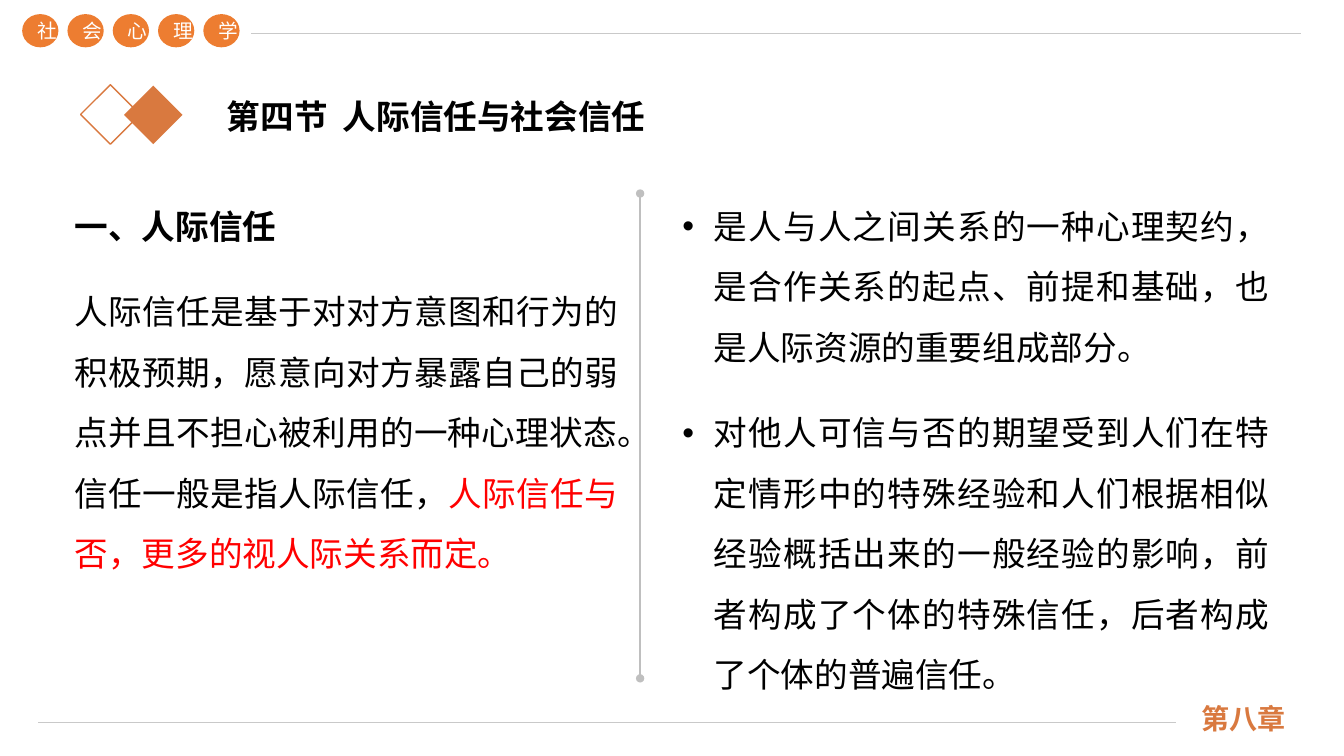
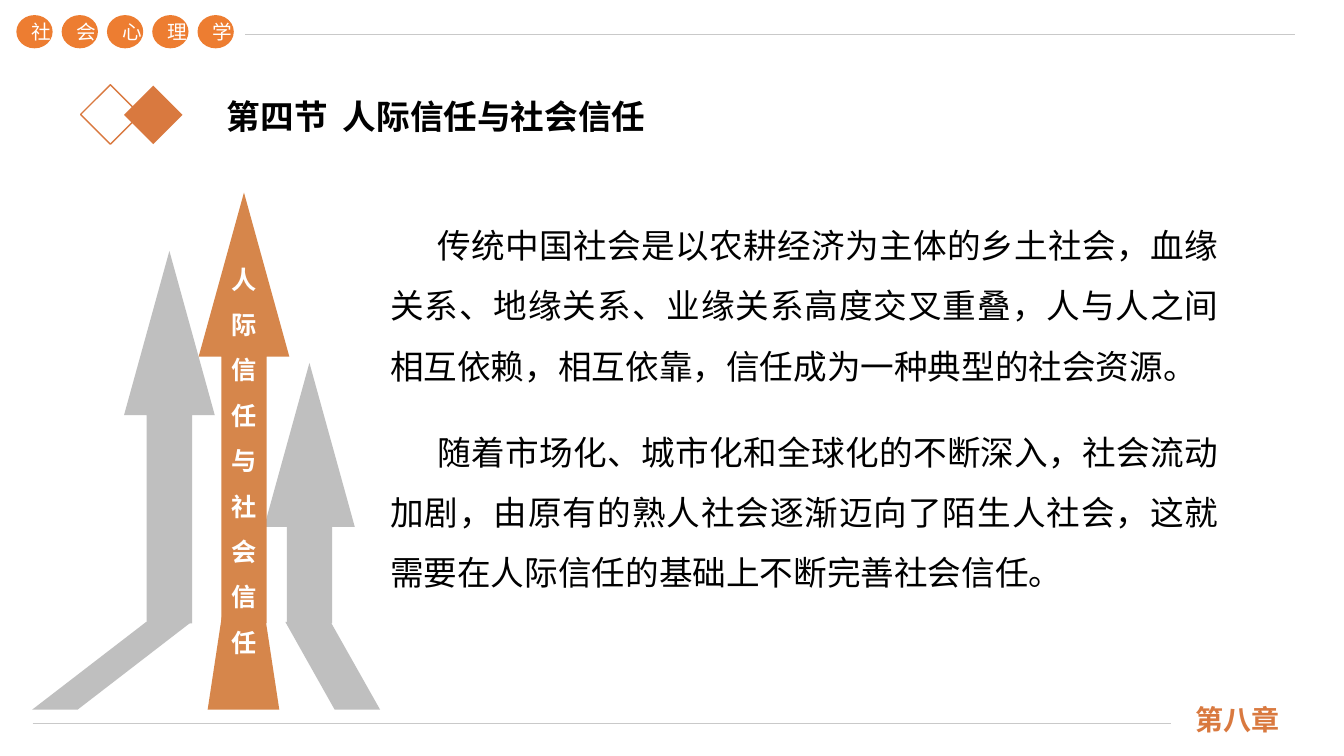
from dataclasses import dataclass

from lxml import etree
from pptx import Presentation
from pptx import util as u
from pptx.dml.color import RGBColor
from pptx.enum import shapes, text
from pptx.oxml import ns

# The grid has 100 columns and 100 rows.
WIDTH, HEIGHT = u.Inches(13.33), u.Inches(7.5)


@dataclass(frozen=True)
class Theme:
    ink: str = "000000"
    white: str = "FFFFFF"
    stress: str = "FF0000"
    accent: str = "D9793F"
    badge: str = "ED7D31"
    arrow: str = "D6864B"
    grey: str = "BFBFBF"
    rule: str = "C9C9C9"
    font: str = "Noto Sans CJK SC"
    chapter_font: str = "Noto Sans CJK JP"
    main_size: int = 24
    chapter_size: int = 20
    label_size: int = 18
    badge_size: int = 14


THEME = Theme()
COURSE = "社会心理学"
CHAPTER = "第八章"
SECTION = ("第四节", "人际信任与社会信任")


@dataclass(frozen=True)
class Box:
    """An area in grid columns and rows."""
    left: float
    top: float
    width: float = 0
    height: float = 0

    def inner(self, left, top, width=0, height=0):
        return Box(self.left + left, self.top + top, width, height)

    def emu(self):
        return (round(self.left * WIDTH / 100), round(self.top * HEIGHT / 100),
                round(self.width * WIDTH / 100), round(self.height * HEIGHT / 100))


def add_xml(parent, tag, **attributes):
    return etree.SubElement(parent, ns.qn(tag), attributes)


def add_run(paragraph, words, size, color=THEME.ink, bold=False, font=THEME.font):
    run = paragraph.add_run()
    run.text = words
    run.font.size = u.Pt(size)
    run.font.bold = bold
    run.font.color.rgb = RGBColor.from_string(color)
    run.font.name = font
    add_xml(run.font._element, "a:ea", typeface=font)
    return run


def paint(shape, fill=None, outline=None):
    shape.shadow.inherit = False
    if fill:
        shape.fill.solid()
        shape.fill.fore_color.rgb = RGBColor.from_string(fill)
    else:
        shape.fill.background()
    if outline:
        shape.line.color.rgb = RGBColor.from_string(outline)
        shape.line.width = u.Pt(1)
    else:
        shape.line.fill.background()


def add_preset(slide, kind, box, fill=None, outline=None):
    shape = slide.shapes.add_shape(kind, *box.emu())
    paint(shape, fill, outline)
    return shape


def add_rule(slide, box, color, dotted_ends=False):
    left, top, width, height = box.emu()
    rule = slide.shapes.add_connector(
        shapes.MSO_CONNECTOR.STRAIGHT, left, top, left + width, top + height)
    rule.line.color.rgb = RGBColor.from_string(color)
    rule.line.width = u.Pt(1)
    if dotted_ends:
        for end in ("a:headEnd", "a:tailEnd"):
            add_xml(rule.line._get_or_add_ln(), end, type="oval")
    add_xml(rule._element.spPr, "a:effectLst")


def add_text_box(slide, box):
    frame = slide.shapes.add_textbox(*box.emu()).text_frame
    frame.word_wrap = True
    return frame


def place(placeholder, box):
    """Move a placeholder and return its text frame, anchored at the top."""
    placeholder.left, placeholder.top, placeholder.width, placeholder.height = box.emu()
    frame = placeholder.text_frame
    frame.auto_size = text.MSO_AUTO_SIZE.NONE
    frame.vertical_anchor = text.MSO_ANCHOR.TOP
    return frame


def fill_body(placeholder, box, paragraphs, bullet=None, first_line=0):
    """Write paragraphs, each a list of (words, run options)."""
    frame = place(placeholder, box)
    for number, runs in enumerate(paragraphs):
        paragraph = frame.add_paragraph() if number else frame.paragraphs[0]
        margin = u.Inches(0.31) if bullet else 0
        indent = -margin if bullet else u.Inches(first_line)
        props = paragraph._p.get_or_add_pPr()
        props.set("marL", str(margin))
        props.set("indent", str(indent))
        props.set("hangingPunct", "1")
        if bullet:
            add_xml(props, "a:buChar", char=bullet)
        else:
            add_xml(props, "a:buNone")
        paragraph.alignment = text.PP_ALIGN.JUSTIFY
        paragraph.line_spacing = 1.5
        paragraph.space_before = u.Pt(18 if number else 0)
        for words, options in runs:
            add_run(paragraph, words, THEME.main_size, **options)


def add_frame(slide, box):
    """Course badges, the two rules and the chapter mark."""
    add_rule(slide, box.inner(1.2, 93.73, 84.68), THEME.rule)
    add_rule(slide, box.inner(17.03, 2.53, 78.1), THEME.rule)
    chapter = add_text_box(slide, box.inner(87, 90.67, 10.9, 5.33))
    chapter.vertical_anchor = text.MSO_ANCHOR.BOTTOM
    add_run(chapter.paragraphs[0], CHAPTER, THEME.chapter_size, THEME.accent,
            True, THEME.chapter_font)
    for column, character in enumerate(COURSE):
        badge = add_preset(slide, shapes.MSO_SHAPE.OVAL,
                           box.inner(column * 3.37, 0, 2.7, 4.4), THEME.badge)
        paragraph = badge.text_frame.paragraphs[0]
        paragraph.alignment = text.PP_ALIGN.CENTER
        add_run(paragraph, character, THEME.badge_size, THEME.white)


def add_heading(slide, box):
    """Two diamonds and the section title."""
    diamond = shapes.MSO_SHAPE.DIAMOND
    add_preset(slide, diamond, box.inner(3.23, 0.13, 4.35, 7.73), fill=THEME.accent)
    add_preset(slide, diamond, box.inner(0, 0, 4.43, 7.87), outline=THEME.accent)
    frame = place(slide.shapes.title, box.inner(10.13, 0.8, 33.3, 6.67))
    frame.word_wrap = False
    paragraph = frame.paragraphs[0]
    paragraph.alignment = text.PP_ALIGN.LEFT
    section, subject = SECTION
    add_run(paragraph, section, THEME.main_size, bold=True)
    gap = add_run(paragraph, " ", THEME.main_size, bold=True)
    gap.font._element.set("spc", "540")
    add_run(paragraph, subject, THEME.main_size, bold=True)


def add_arrows(slide, box):
    """Three rising arrows, each with a trail, and an upright label."""
    base, foot = 57, 68.4
    for left, top, color in ((6.83, 7.73, THEME.grey),
                             (17.25, 22.53, THEME.grey),
                             (12.38, 0, THEME.arrow)):
        arrow = add_preset(slide, shapes.MSO_SHAPE.UP_ARROW,
                           box.inner(left, top, 6.75, base - top), color)
        arrow.adjustments[0] = 0.5
        arrow.adjustments[1] = 1.81

    for top, upper, lower, color in (
            (56.8, (8.48, 11.85), (0, 3.38), THEME.grey),
            (56.13, (14.1, 17.33), (13.05, 18.38), THEME.arrow),
            (56.8, (18.83, 22.2), (22.5, 25.88), THEME.grey)):
        corners = [box.inner(x, y).emu()[:2] for x, y in (
            (upper[0], top), (upper[1], top), (lower[1], foot), (lower[0], foot))]
        outline = slide.shapes.build_freeform(*corners[0])
        outline.add_line_segments(corners[1:], close=True)
        paint(outline.convert_to_shape(), color)

    label = add_text_box(slide, box.inner(13.88, 6.8, 3.83, 55.87)).paragraphs[0]
    label.alignment = text.PP_ALIGN.CENTER
    label.line_spacing = 1.5
    add_run(label, SECTION[1], THEME.label_size, THEME.white, True)


def start_slide(deck, layout, frame_box):
    slide = deck.slides.add_slide(deck.slide_layouts.get_by_name(layout))
    add_frame(slide, frame_box)
    add_heading(slide, Box(6, 11.2))
    return slide


def add_definition_slide(deck):
    slide = start_slide(deck, "Two Content", Box(1.65, 1.87))
    definition, features = list(slide.placeholders)[1:]
    fill_body(definition, Box(4.8, 23.87, 41.93, 53.2), [
        [("一、人际信任", {"bold": True})],
        [("人际信任是基于对对方意图和行为的积极预期，愿意向对方暴露自己的弱点"
          "并且不担心被利用的一种心理状态。信任一般是指人际信任，", {}),
         ("人际信任与否，更多的视人际关系而定。", {"color": THEME.stress})],
    ])
    fill_body(features, Box(50.03, 23.87, 45.15, 69.33), [
        [("是人与人之间关系的一种心理契约，是合作关系的起点、前提和基础，"
          "也是人际资源的重要组成部分。", {})],
        [("对他人可信与否的期望受到人们在特定情形中的特殊经验和人们根据相似经验"
          "概括出来的一般经验的影响，前者构成了个体的特殊信任，"
          "后者构成了个体的普遍信任。", {})],
    ], bullet="•")
    add_rule(slide, Box(47.63, 25.6, 0, 64.13), THEME.grey, dotted_ends=True)


def add_society_slide(deck):
    slide = start_slide(deck, "Title and Content", Box(1.22, 2))
    add_arrows(slide, Box(2.4, 25.47))
    fill_body(slide.placeholders[1], Box(28.28, 26.4, 63.15, 53.2), [
        [("传统中国社会是以农耕经济为主体的乡土社会，血缘关系、地缘关系、"
          "业缘关系高度交叉重叠，人与人之间相互依赖，相互依靠，"
          "信任成为一种典型的社会资源。", {})],
        [("随着市场化、城市化和全球化的不断深入，社会流动加剧，"
          "由原有的熟人社会逐渐迈向了陌生人社会，"
          "这就需要在人际信任的基础上不断完善社会信任。", {})],
    ], first_line=0.47)


def main():
    deck = Presentation()
    deck.slide_width, deck.slide_height = WIDTH, HEIGHT
    add_definition_slide(deck)
    add_society_slide(deck)
    deck.save("out.pptx")


if __name__ == "__main__":
    main()
